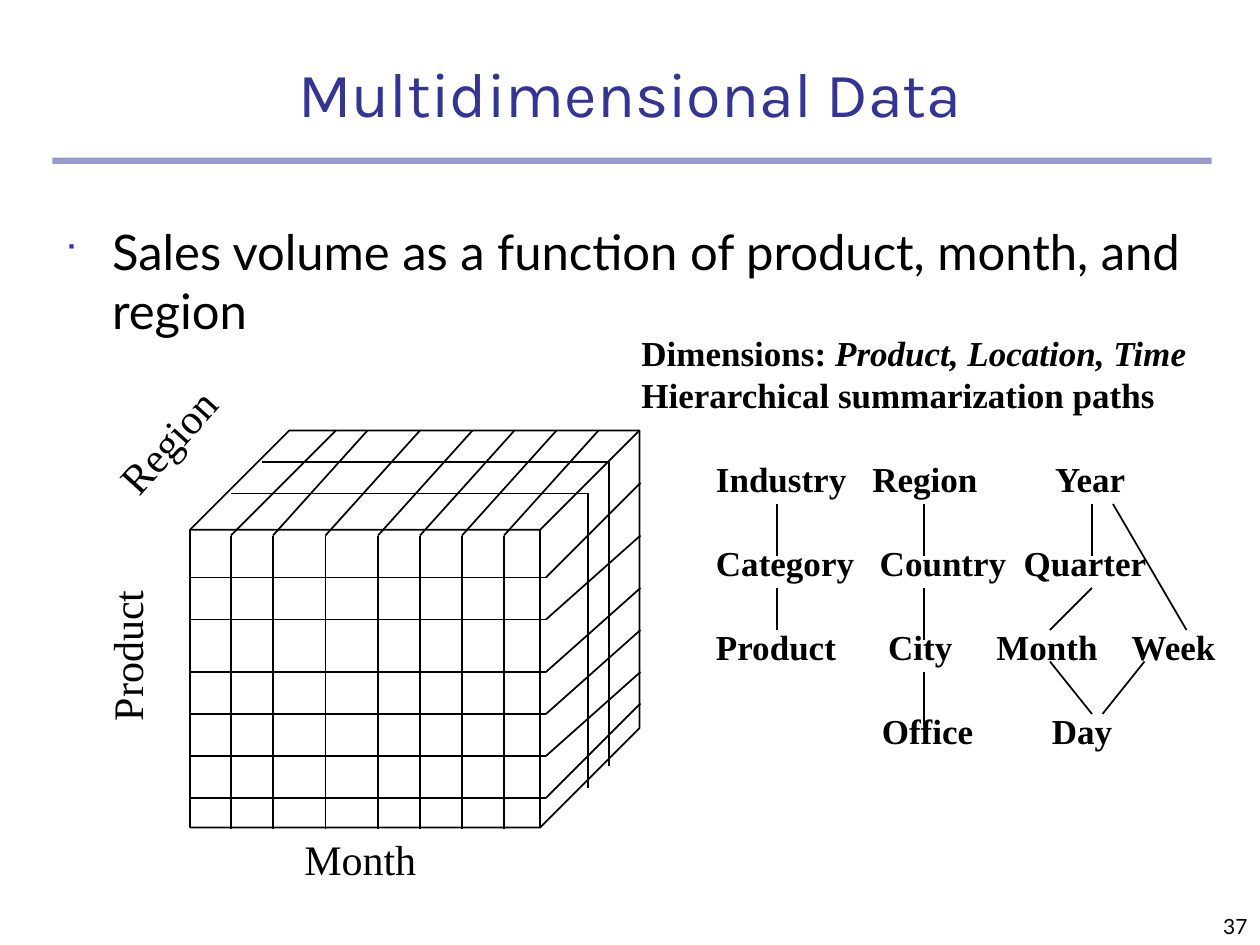
"""Build a slide on multidimensional data: a sales cube and its hierarchies."""
from typing import NamedTuple

from lxml import etree
from pptx import Presentation
from pptx import util as u
from pptx.dml.color import RGBColor
from pptx.enum import shapes, text
from pptx.oxml import ns

PX = 7620
BLACK, NAVY, BLUE, PALE = "000000", "333399", "3333CC", "9999CC"
TIMES = "Times New Roman"


class Box(NamedTuple):
    left: int
    top: int
    width: int
    height: int


class Line(NamedTuple):
    x1: int
    y1: int
    x2: int
    y2: int


class Label(NamedTuple):
    words: str
    box: Box
    turn: int


class Row(NamedTuple):
    words: str
    stops: tuple[int, ...]


FRONT_X, FRONT_Y, RIGHT, BASE = 180, 510, 520, 790
BACK_X, BACK_Y = 610, 410
COLS = {220: 320, 260: 350, 310: 400, 360: 450, 400: 490, 440: 530, 480: 570}
RANKS = {550: 460, 590: 510, 640: 560, 680: 600, 720: 640, 760: 670}
DEPTHS = [Line(250, 440, 580, 730), Line(220, 470, 560, 750)]
LABELS = [
    Label("Product", Box(46, 594, 149, 60), 270),
    Label("Region", Box(89, 387, 147, 60), 312),
    Label("Month", Box(278, 788, 131, 60), 0),
]
ROWS = [
    Row("Industry\tRegion\tYear", (149, 323)),
    Row("Category\tCountry\tQuarter", (156, 293)),
    Row("Product\tCity\tMonth\tWeek", (164, 267, 396)),
    Row("\tOffice\tDay", (158, 320)),
]
LINKS = [
    Line(740, 480, 740, 530), Line(740, 560, 740, 600),
    Line(880, 480, 880, 530), Line(880, 560, 880, 610),
    Line(880, 640, 880, 690), Line(1040, 480, 1040, 530),
    Line(1040, 560, 1000, 600), Line(1060, 480, 1130, 600),
    Line(1000, 630, 1040, 680), Line(1090, 630, 1050, 680),
]


def emu(px: int) -> u.Emu:
    """Turn px into EMU."""
    return u.Emu(px * PX)


def color(code: str) -> RGBColor:
    """Turn a hex string into a colour."""
    return RGBColor.from_string(code)


def stroke(slide, line: Line) -> None:
    """Draw a thin black line."""
    item = slide.shapes.add_connector(
        shapes.MSO_CONNECTOR.STRAIGHT, *(emu(n) for n in line))
    item.line.color.rgb = color(BLACK)
    item.line.width = u.Pt(1)
    etree.SubElement(item._element.spPr, ns.qn("a:effectLst"))


def solid(slide, kind, box: Box, fill: str = "", edge: str = ""):
    """Draw a preset shape."""
    item = slide.shapes.add_shape(kind, *(emu(n) for n in box))
    item.shadow.inherit = False
    if fill:
        item.fill.solid()
        item.fill.fore_color.rgb = color(fill)
    else:
        item.fill.background()
    if edge:
        item.line.color.rgb = color(edge)
        item.line.width = u.Pt(1)
    else:
        item.line.fill.background()
    return item


def write(para, words: str, *, size: int, font: str = TIMES,
          tint: str = BLACK, bold: bool = False, slant: bool = False) -> None:
    """Add a formatted run to a paragraph."""
    run = para.add_run()
    run.text = words
    face = run.font
    face.size, face.name = u.Pt(size), font
    face.bold, face.italic = bold, slant
    face.color.rgb = color(tint)


def frame(slide, box: Box, *, wrap: bool = True, low: bool = False,
          turn: int = 0):
    """Add an empty text box and return its frame."""
    item = slide.shapes.add_textbox(*(emu(n) for n in box))
    item.rotation = turn
    body = item.text_frame
    body.word_wrap = wrap
    body.vertical_anchor = (
        text.MSO_ANCHOR.BOTTOM if low else text.MSO_ANCHOR.TOP)
    return body


def bullet(para, mark: str, tint: str, share: int, dent: int) -> None:
    """Give a paragraph a coloured bullet and a hanging indent."""
    props = para._p.get_or_add_pPr()
    props.set("marL", str(emu(dent)))
    props.set("indent", str(-emu(dent)))
    shade = etree.SubElement(props, ns.qn("a:buClr"))
    etree.SubElement(shade, ns.qn("a:srgbClr"), val=tint)
    etree.SubElement(props, ns.qn("a:buSzPct"), val=str(share * 1000))
    etree.SubElement(props, ns.qn("a:buFont"), typeface="Wingdings")
    etree.SubElement(props, ns.qn("a:buChar"), char=mark)


def tabs(para, stops: tuple[int, ...]) -> None:
    """Set the left tab stops of a paragraph."""
    group = etree.SubElement(para._p.get_or_add_pPr(), ns.qn("a:tabLst"))
    for stop in stops:
        etree.SubElement(group, ns.qn("a:tab"), pos=str(emu(stop)), algn="l")


def heading(slide) -> None:
    """Add the rule, page number, title and bullet."""
    solid(slide, shapes.MSO_SHAPE.RECTANGLE, Box(50, 150, 1104, 6), fill=PALE)
    page = frame(slide, Box(950, 840, 250, 60), low=True).paragraphs[0]
    page.alignment = text.PP_ALIGN.RIGHT
    write(page, "37", size=12, font="Lato")
    title = frame(slide, Box(50, 40, 1100, 90), low=True).paragraphs[0]
    title.alignment = text.PP_ALIGN.CENTER
    write(title, "Multidimensional Data", size=36, font="Karla", tint=NAVY)
    point = frame(slide, Box(50, 205, 1090, 600)).paragraphs[0]
    point.space_before = u.Pt(7)
    bullet(point, "■", BLUE, 60, 45)
    write(point, "Sales volume as a function of product, month, and region",
          size=28, font="Lato")


def cube(slide) -> None:
    """Draw the cube, its grid and its axis labels."""
    item = solid(slide, shapes.MSO_SHAPE.CUBE, Box(181, 410, 428, 378),
                 edge=BLACK)
    item.adjustments[0] = 0.25
    for y, back in RANKS.items():
        stroke(slide, Line(FRONT_X, y, RIGHT, y))
        stroke(slide, Line(RIGHT, y, BACK_X, back))
    for x, back in COLS.items():
        stroke(slide, Line(x, FRONT_Y, x, BASE))
        stroke(slide, Line(x, FRONT_Y, back, BACK_Y))
    for x, y, side, foot in DEPTHS:
        stroke(slide, Line(x, y, side, y))
        stroke(slide, Line(side, y, side, foot))
    for words, box, turn in LABELS:
        body = frame(slide, box, wrap=False, turn=turn)
        write(body.paragraphs[0], words, size=24)


def paths(slide) -> None:
    """Add the dimensions and their summarization paths."""
    body = frame(slide, Box(599, 310, 545, 92), wrap=False)
    first, second = body.paragraphs[0], body.add_paragraph()
    write(first, "Dimensions: ", size=20, bold=True)
    write(first, "Product, Location, Time", size=20, bold=True, slant=True)
    write(second, "Hierarchical summarization paths", size=20, bold=True)
    first.line_spacing = second.line_spacing = u.Pt(24)
    body = frame(slide, Box(670, 430, 520, 293))
    for spot, row in enumerate(ROWS):
        para = body.add_paragraph() if spot else body.paragraphs[0]
        para.line_spacing = u.Pt(24)
        para.space_before = u.Pt(24 if spot else 0)
        tabs(para, row.stops)
        write(para, row.words, size=20, bold=True)
    for link in LINKS:
        stroke(slide, link)


def main() -> None:
    """Build and save the deck."""
    deck = Presentation()
    deck.slide_width, deck.slide_height = emu(1200), emu(900)
    slide = deck.slides.add_slide(deck.slide_layouts[6])
    heading(slide)
    cube(slide)
    paths(slide)
    deck.save("out.pptx")


if __name__ == "__main__":
    main()
